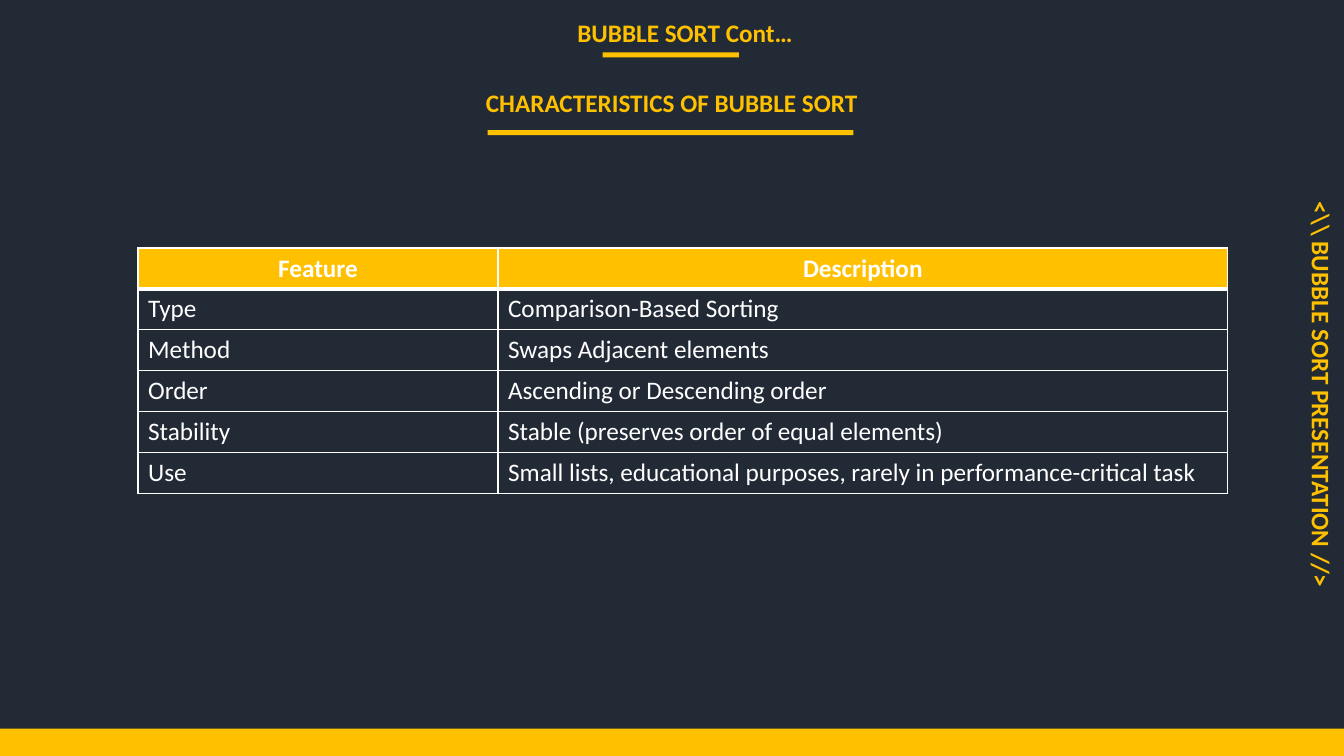
"""Build the slide listing the characteristics of bubble sort."""
from dataclasses import dataclass

from lxml import etree
from pptx import Presentation
from pptx.dml.color import RGBColor
from pptx.enum.shapes import MSO_SHAPE
from pptx.enum.text import MSO_ANCHOR, MSO_AUTO_SIZE, PP_ALIGN
from pptx.oxml.ns import qn
from pptx.util import Cm, Pt

RECTANGLE = MSO_SHAPE.RECTANGLE
MIDDLE = MSO_ANCHOR.MIDDLE
NO_AUTOFIT = MSO_AUTO_SIZE.NONE
LEFT, CENTER = PP_ALIGN.LEFT, PP_ALIGN.CENTER


@dataclass(frozen=True)
class Theme:
    background: str = "222A35"
    accent: str = "FFC000"
    light: str = "FFFFFF"
    font: str = "Calibri"
    size: int = 18
    grid_width: int = 1
    header_rule_width: int = 3


THEME = Theme()
SLIDE_WIDTH, SLIDE_HEIGHT = 33.87, 19.05
FOOTER_HEIGHT = 0.69

TITLE = ("BUBBLE SORT Cont…", (7.92, 0.23, 18.69, 1.17))
SUBTITLE = ("CHARACTERISTICS OF BUBBLE SORT", (10.82, 1.85, 12.22, 1.45))
SIDE_LABEL = (r"<\\ BUBBLE SORT PRESENTATION //>", (24.54, 9.4, 17.55, 1.09))
BARS = [
    (0, SLIDE_HEIGHT - FOOTER_HEIGHT, SLIDE_WIDTH, FOOTER_HEIGHT),
    (15.19, 1.32, 3.43, 0.13),
    (12.29, 3.28, 9.22, 0.13),
]
FEATURES = [
    ("Feature", "Description"),
    ("Type", "Comparison-Based Sorting"),
    ("Method", "Swaps Adjacent elements"),
    ("Order", "Ascending or Descending order"),
    ("Stability", "Stable (preserves order of equal elements)"),
    ("Use", "Small lists, educational purposes, rarely in performance-critical task"),
]
TABLE_LEFT, TABLE_TOP = 3.48, 6.25
COLUMN_WIDTHS = (9.07, 18.39)
ROW_HEIGHT = 1.03


def lengths(box):
    return [Cm(value) for value in box]


def write(frame, text, color, bold, alignment):
    frame.text = text
    paragraph = frame.paragraphs[0]
    paragraph.alignment = alignment
    font = paragraph.font
    font.name, font.size, font.bold = THEME.font, Pt(THEME.size), bold
    font.color.rgb = RGBColor.from_string(color)


def fill_heading(shape, text, box):
    shape.left, shape.top, shape.width, shape.height = lengths(box)
    frame = shape.text_frame
    frame.word_wrap = True
    frame.auto_size = NO_AUTOFIT
    frame.vertical_anchor = MIDDLE
    write(frame, text, THEME.accent, True, CENTER)


def add_heading(slide, text, box):
    heading = slide.shapes.add_textbox(*lengths(box))
    fill_heading(heading, text, box)
    return heading


def add_bar(slide, box):
    bar = slide.shapes.add_shape(RECTANGLE, *lengths(box))
    bar.shadow.inherit = False
    bar.fill.solid()
    bar.fill.fore_color.rgb = RGBColor.from_string(THEME.accent)
    bar.line.fill.background()


def set_borders(cell, top, bottom):
    properties = cell._tc.get_or_add_tcPr()
    widths = {"L": THEME.grid_width, "R": THEME.grid_width, "T": top, "B": bottom}
    for side, width in widths.items():
        border = etree.SubElement(properties, qn(f"a:ln{side}"), w=str(Pt(width)))
        fill = etree.SubElement(border, qn("a:solidFill"))
        etree.SubElement(fill, qn("a:srgbClr"), val=THEME.light)


def add_features(slide):
    box = (TABLE_LEFT, TABLE_TOP, sum(COLUMN_WIDTHS), ROW_HEIGHT * len(FEATURES))
    table = slide.shapes.add_table(
        len(FEATURES), len(COLUMN_WIDTHS), *lengths(box)
    ).table
    table.horz_banding = False
    for column, width in zip(table.columns, COLUMN_WIDTHS):
        column.width = Cm(width)
    for row_index, texts in enumerate(FEATURES):
        table.rows[row_index].height = Cm(ROW_HEIGHT)
        is_header = row_index == 0
        top = THEME.header_rule_width if row_index == 1 else THEME.grid_width
        bottom = THEME.header_rule_width if is_header else THEME.grid_width
        for column_index, text in enumerate(texts):
            cell = table.cell(row_index, column_index)
            set_borders(cell, top, bottom)
            if is_header:
                cell.fill.solid()
                cell.fill.fore_color.rgb = RGBColor.from_string(THEME.accent)
            else:
                cell.fill.background()
            alignment = CENTER if is_header else LEFT
            write(cell.text_frame, text, THEME.light, is_header, alignment)


def main():
    deck = Presentation()
    deck.slide_width, deck.slide_height = Cm(SLIDE_WIDTH), Cm(SLIDE_HEIGHT)
    slide = deck.slides.add_slide(deck.slide_layouts.get_by_name("Title Only"))
    slide.background.fill.solid()
    slide.background.fill.fore_color.rgb = RGBColor.from_string(THEME.background)
    fill_heading(slide.shapes.title, *TITLE)
    add_heading(slide, *SUBTITLE)
    add_heading(slide, *SIDE_LABEL).rotation = 90
    for box in BARS:
        add_bar(slide, box)
    add_features(slide)
    deck.save("out.pptx")


if __name__ == "__main__":
    main()
